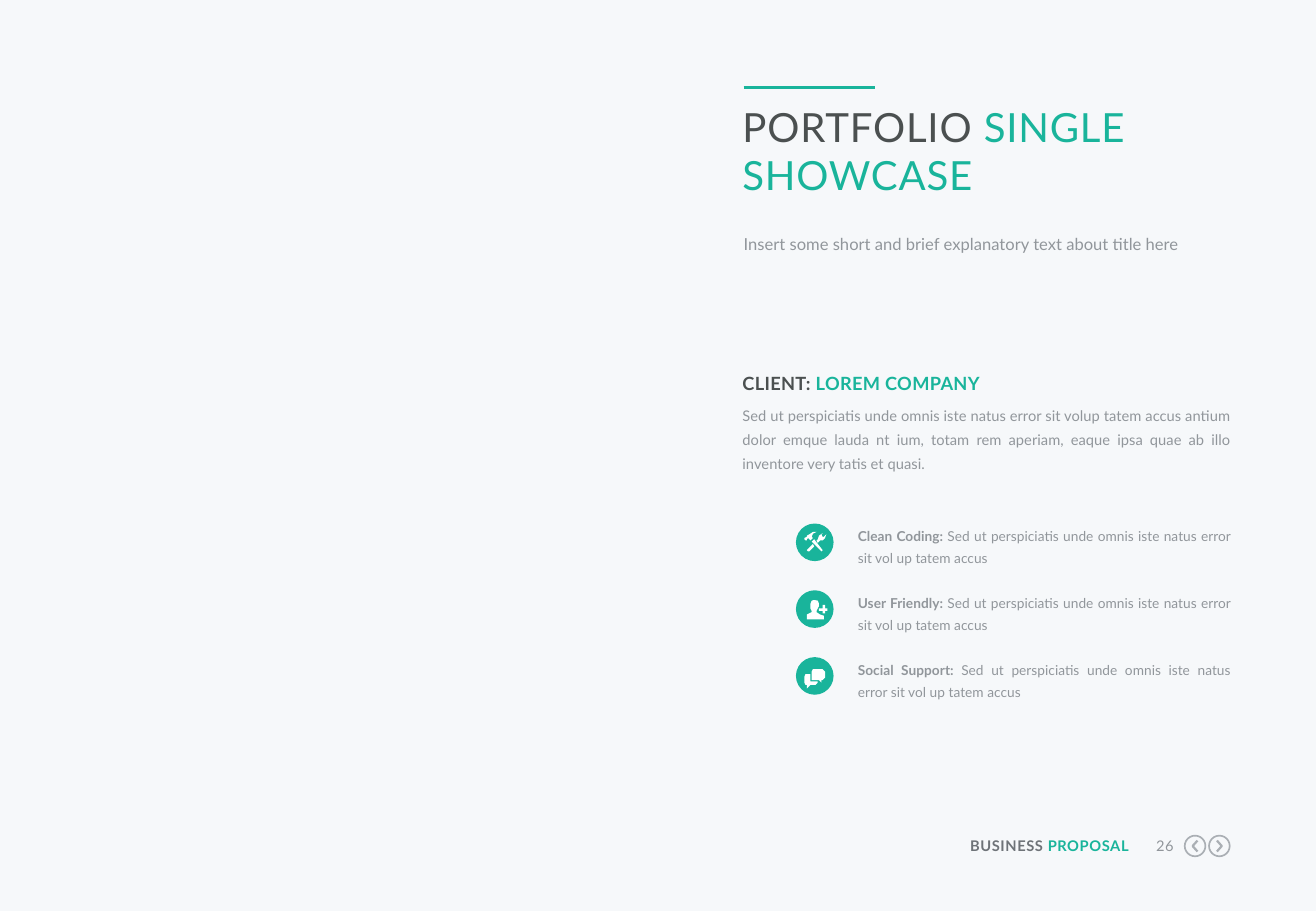
from lxml.etree import SubElement
from pptx import Presentation
from pptx.dml.color import RGBColor
from pptx.enum.shapes import MSO_CONNECTOR, MSO_SHAPE
from pptx.enum.text import MSO_ANCHOR, MSO_AUTO_SIZE, PP_ALIGN
from pptx.oxml.ns import qn
from pptx.util import Inches, Pt

COLORS = {
    "background": "F6F8FA",
    "accent": "19B49B",
    "heading": "4B5050",
    "footer": "6E7378",
    "body": "91969B",
    "button": "AAAFB4",
    "icon": "FFFFFF",
}

TOOLS_ICON = [
    [(9, 13), (10, 12), (12, 14), (14, 12), (13, 11), (14, 8.5), (17, 7), (14, 7),
     (11, 9), (9, 10), (9, 11), (7, 12), (7, 13), (8, 14), (9, 14)],
    [(15, 13), (13, 15), (21, 23), (22, 22)],
    [(25, 9), (23, 11), (22, 11), (21, 9), (22, 8), (19, 10), (18, 13), (17, 14),
     (18, 16), (20, 14), (22, 14), (24, 12)],
    [(9, 22), (10, 23), (11, 23), (15, 19), (14, 17)],
]
USER_ICON = [
    [(23, 24), (9, 24), (9, 20), (13, 18), (13, 17), (12, 15), (12, 11), (13, 8.5),
     (15, 8), (18, 8.5), (19, 11), (19, 13), (18, 15), (17, 17), (17, 18), (20, 20), (23, 21)],
    [(26, 15), (26, 17), (24, 17), (24, 19), (22, 19), (22, 17), (19, 17), (19, 15),
     (22, 15), (22, 12), (24, 12), (24, 15)],
]
CHAT_ICON = [
    [(18, 20), (18, 21), (16, 23), (12, 23), (9, 26), (9, 23), (8, 23), (7, 21),
     (7, 16), (8, 14), (12, 14), (12, 20)],
    [(24, 12), (24, 17), (22, 19), (21, 19), (21, 21), (19, 19), (13, 19), (13, 12),
     (14, 10), (22, 10)],
]
FEATURES = [
    ("Clean Coding: ", TOOLS_ICON),
    ("User Friendly: ", USER_ICON),
    ("Social Support: ", CHAT_ICON),
]
FEATURE_TEXT = "Sed ut perspiciatis unde omnis iste natus error sit vol up tatem accus"
CLIENT_TEXT = (
    "Sed ut perspiciatis unde omnis iste natus error sit volup tatem accus antium "
    "dolor emque lauda nt ium, totam rem aperiam, eaque ipsa quae ab illo "
    "inventore very tatis et quasi."
)


def color(name):
    return RGBColor.from_string(COLORS[name])


def write(box, *texts, size, align=PP_ALIGN.LEFT, leading=None, tracking=0):
    frame = box.text_frame
    frame.word_wrap = True
    frame.auto_size = MSO_AUTO_SIZE.NONE
    frame.vertical_anchor = MSO_ANCHOR.TOP
    frame.margin_left = frame.margin_top = frame.margin_right = frame.margin_bottom = 0
    para = frame.paragraphs[0]
    if box.is_placeholder:
        properties = para._p.get_or_add_pPr()
        properties.set("marL", "0")
        properties.set("indent", "0")
        SubElement(properties, qn("a:buNone"))
        para.space_before = Pt(0)
    para.alignment = align
    if leading:
        para.line_spacing = Pt(leading)
    for text, tone, bold in texts:
        span = para.add_run()
        span.text = text
        span.font.name = "Lato"
        span.font.size = Pt(size)
        span.font.bold = bold
        span.font.color.rgb = color(tone)
        if tracking:
            span._r.get_or_add_rPr().set("spc", str(tracking))


class ShowcasePage:
    def __init__(self, deck):
        self.page = deck.slides.add_slide(deck.slide_layouts[1])
        self.page.background.fill.solid()
        self.page.background.fill.fore_color.rgb = color("background")

    def placeholder(self, index, left, top, width, height, *texts, **style):
        box = self.page.placeholders[index]
        box.left, box.top = Inches(left), Inches(top)
        box.width, box.height = Inches(width), Inches(height)
        write(box, *texts, **style)

    def text(self, left, top, width, height, *texts, **style):
        box = self.page.shapes.add_textbox(
            Inches(left), Inches(top), Inches(width), Inches(height))
        write(box, *texts, **style)

    def rule(self, left, top, right):
        line = self.page.shapes.add_connector(
            MSO_CONNECTOR.STRAIGHT, Inches(left), Inches(top), Inches(right), Inches(top))
        line.line.color.rgb = color("accent")
        line.line.width = Pt(2.25)
        SubElement(line._element.spPr, qn("a:effectLst"))

    def paint(self, shape, fill=None, line=None, weight=1):
        shape.shadow.inherit = False
        if fill:
            shape.fill.solid()
            shape.fill.fore_color.rgb = color(fill)
        else:
            shape.fill.background()
        if line:
            shape.line.color.rgb = color(line)
            shape.line.width = Pt(weight)
        else:
            shape.line.fill.background()

    def circle(self, shapes, left, top, size, **style):
        disc = shapes.add_shape(
            MSO_SHAPE.OVAL, Inches(left), Inches(top), Inches(size), Inches(size))
        self.paint(disc, **style)

    def outline(self, shapes, left, top, contours, closed=True, **style):
        placed = [[(Inches(left + x / 100), Inches(top + y / 100)) for x, y in contour]
                  for contour in contours]
        builder = shapes.build_freeform(*placed[0][0])
        for number, points in enumerate(placed):
            if number:
                builder.move_to(*points[0])
            builder.add_line_segments(points[1:], close=closed)
        self.paint(builder.convert_to_shape(), **style)

    def feature(self, top, label, icon):
        group = self.page.shapes.add_group_shape()
        self.circle(group.shapes, 6.55, top, 0.31, fill="accent")
        self.outline(group.shapes, 6.55, top, icon, fill="icon")
        self.text(7.06, top - 0.01, 3.07, 0.36,
                  (label, "body", True), (FEATURE_TEXT, "body", False),
                  size=8.1, align=PP_ALIGN.JUSTIFY, leading=13)

    def arrow_button(self, left, chevron):
        group = self.page.shapes.add_group_shape()
        self.circle(group.shapes, left, 6.88, 0.17, line="button")
        self.outline(group.shapes, left, 6.88, [chevron], closed=False,
                     line="button", weight=1.3)


def main():
    deck = Presentation()
    deck.slide_width, deck.slide_height = Inches(10.83), Inches(7.5)
    showcase = ShowcasePage(deck)
    showcase.rule(6.12, 0.72, 7.2)
    showcase.placeholder(0, 6.11, 0.84, 4.02, 0.92,
                         ("PORTFOLIO ", "heading", False),
                         ("SINGLE SHOWCASE", "accent", False), size=23.8, tracking=50)
    showcase.placeholder(1, 6.12, 1.91, 4.02, 0.21,
                         ("Insert some short and brief explanatory text about title here",
                          "body", False), size=9.8, leading=13)
    showcase.text(6.11, 2.99, 4.02, 0.25,
                  ("CLIENT: ", "heading", True), ("LOREM COMPANY", "accent", True),
                  size=10.8, leading=18.4, tracking=20)
    showcase.text(6.11, 3.3, 4.02, 0.59, (CLIENT_TEXT, "body", False),
                  size=8.7, align=PP_ALIGN.JUSTIFY, leading=14.1)
    for row, (label, icon) in enumerate(FEATURES):
        showcase.feature(4.31 + 0.55 * row, label, icon)
    showcase.text(7.92, 6.89, 1.37, 0.15,
                  ("BUSINESS ", "footer", True), ("PROPOSAL", "accent", True),
                  size=8.7, align=PP_ALIGN.RIGHT, tracking=30)
    showcase.text(9.41, 6.89, 0.25, 0.15, ("26", "body", False),
                  size=8.7, align=PP_ALIGN.RIGHT, tracking=30)
    showcase.arrow_button(9.75, [(10.5, 4), (6.5, 8.5), (10.5, 13)])
    showcase.arrow_button(9.95, [(6.5, 4), (10.5, 8.5), (6.5, 13)])
    deck.save("out.pptx")


if __name__ == "__main__":
    main()
